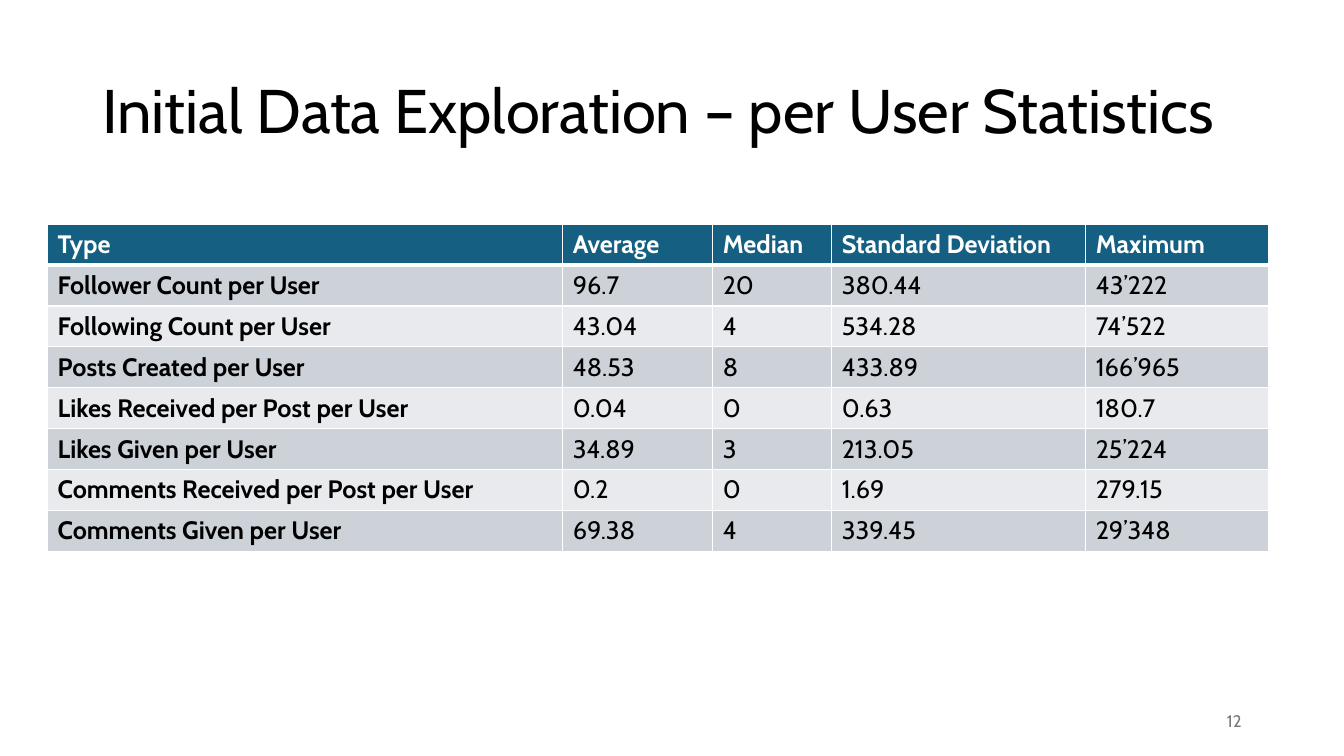
from dataclasses import dataclass

from lxml import etree
from pptx import Presentation
from pptx.dml.color import RGBColor
from pptx.enum.text import MSO_ANCHOR, PP_ALIGN
from pptx.oxml.ns import qn
from pptx.util import Cm, Pt

MIDDLE = MSO_ANCHOR.MIDDLE
LEFT = PP_ALIGN.LEFT
RIGHT = PP_ALIGN.RIGHT


@dataclass(frozen=True)
class Theme:
    font: str = "Cabin"
    title_size: int = 44
    table_size: int = 18
    number_size: int = 12
    text: str = "000000"
    muted: str = "797979"
    white: str = "FFFFFF"
    header: str = "156082"
    bands: tuple = ("CCD2D8", "E8EAED")
    border: int = 1
    header_border: int = 3


class SlideBuilder:
    def __init__(self, slide, theme):
        self.slide = slide
        self.theme = theme

    def style(self, p, size, color, bold=False):
        p.font.name = self.theme.font
        p.font.size = Pt(size)
        p.font.bold = bold
        p.font.color.rgb = RGBColor.from_string(color)

    def text(self, box, text, size, color, align=LEFT, line_spacing=1.0):
        tf = self.slide.shapes.add_textbox(*map(Cm, box)).text_frame
        tf.word_wrap = True
        tf.vertical_anchor = MIDDLE
        p = tf.paragraphs[0]
        p.text = text
        p.alignment = align
        p.line_spacing = line_spacing
        self.style(p, size, color)

    def border(self, cell, side, width):
        tc_pr = cell._tc.get_or_add_tcPr()
        ln = etree.SubElement(tc_pr, qn(f"a:ln{side}"), w=str(Pt(width)))
        fill = etree.SubElement(ln, qn("a:solidFill"))
        etree.SubElement(fill, qn("a:srgbClr"), val=self.theme.white)

    def cell(self, cell, text, fill, color, bold, top, bottom):
        thin = self.theme.border
        for side, width in zip("LRTB", (thin, thin, top, bottom)):
            self.border(cell, side, width)
        cell.fill.solid()
        cell.fill.fore_color.rgb = RGBColor.from_string(fill)
        p = cell.text_frame.paragraphs[0]
        p.text = text
        self.style(p, self.theme.table_size, color, bold)

    def table(self, left, top, widths, row_height, rows):
        t = self.theme
        box = (left, top, sum(widths), row_height * len(rows))
        table = self.slide.shapes.add_table(len(rows), len(widths), *map(Cm, box)).table
        for column, width in zip(table.columns, widths):
            column.width = Cm(width)
        for i, values in enumerate(rows):
            table.rows[i].height = Cm(row_height)
            is_header = i == 0
            fill = t.header if is_header else t.bands[(i - 1) % 2]
            color = t.white if is_header else t.text
            top_line = t.header_border if i == 1 else t.border
            bottom_line = t.header_border if is_header else t.border
            for j, value in enumerate(values):
                bold = is_header or j == 0
                self.cell(table.cell(i, j), value, fill, color, bold, top_line, bottom_line)


STATISTICS = [
    ("Type", "Average", "Median", "Standard Deviation", "Maximum"),
    ("Follower Count per User", "96.7", "20", "380.44", "43’222"),
    ("Following Count per User", "43.04", "4", "534.28", "74’522"),
    ("Posts Created per User", "48.53", "8", "433.89", "166’965"),
    ("Likes Received per Post per User", "0.04", "0", "0.63", "180.7"),
    ("Likes Given per User", "34.89", "3", "213.05", "25’224"),
    ("Comments Received per Post per User", "0.2", "0", "1.69", "279.15"),
    ("Comments Given per User", "69.38", "4", "339.45", "29’348"),
]


def main():
    prs = Presentation()
    prs.slide_width = Cm(33.87)
    prs.slide_height = Cm(19.05)
    theme = Theme()
    s = SlideBuilder(prs.slides.add_slide(prs.slide_layouts[6]), theme)
    s.text((2.33, 1.01, 29.21, 3.68), "Initial Data Exploration – per User Statistics",
           theme.title_size, theme.text, line_spacing=0.9)
    s.table(1.2, 5.65, (12.98, 3.78, 3.0, 6.4, 4.6), 1.03, STATISTICS)
    s.text((23.92, 17.66, 7.62, 1.01), "12", theme.number_size, theme.muted, RIGHT)
    prs.save("out.pptx")


if __name__ == "__main__":
    main()
